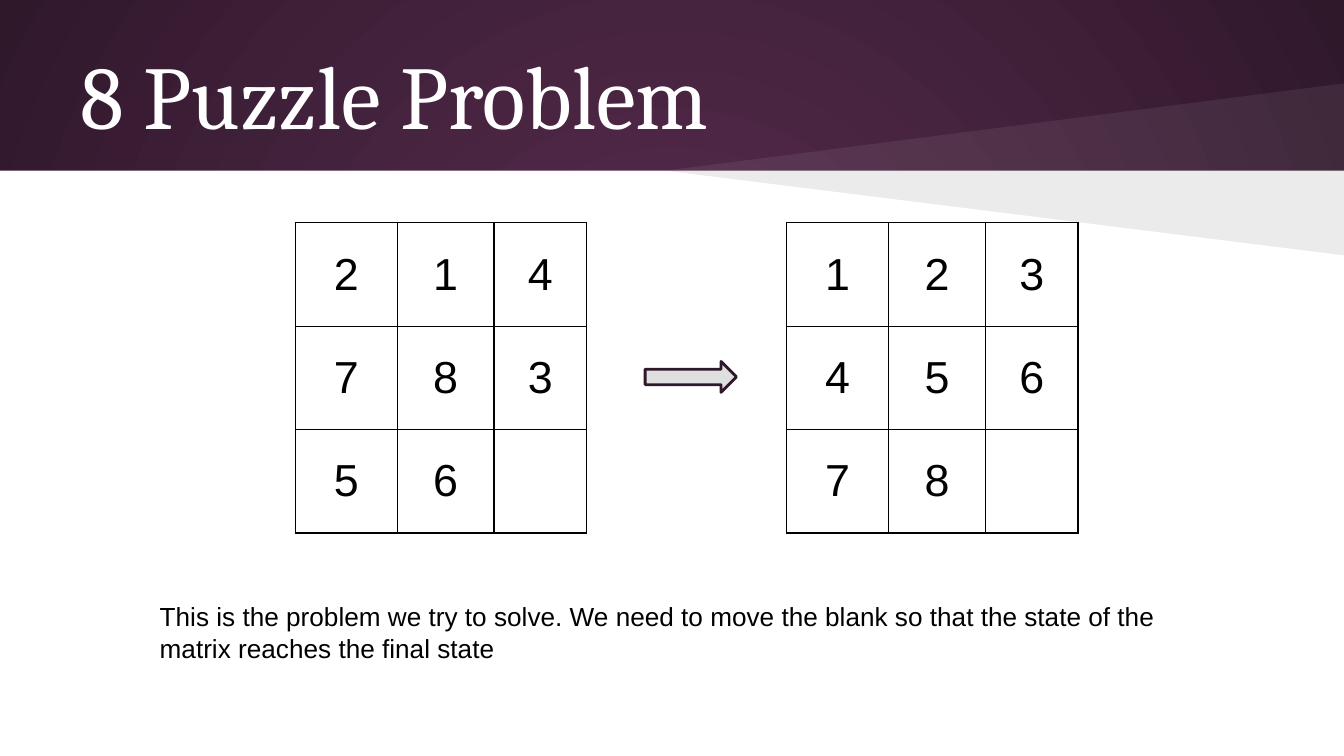
from lxml import etree
from pptx import Presentation
from pptx.dml.color import RGBColor
from pptx.enum.shapes import MSO_SHAPE
from pptx.enum.text import MSO_ANCHOR, PP_ALIGN
from pptx.oxml import parse_xml
from pptx.oxml.ns import qn
from pptx.util import Inches, Pt

RECTANGLE, RIGHT_ARROW = MSO_SHAPE.RECTANGLE, MSO_SHAPE.RIGHT_ARROW
LEFT, CENTER = PP_ALIGN.LEFT, PP_ALIGN.CENTER
TOP, MIDDLE = MSO_ANCHOR.TOP, MSO_ANCHOR.MIDDLE
DRAWING = "http://schemas.openxmlformats.org/drawingml/2006/main"

COLUMNS, ROWS = 100, 56.25
BAND_ROWS = 12.7
TILE_COLUMNS, TILE_ROW = (7.6, 7.2, 6.9), 7.7
BOARD_TOP = 16.57
START_STATE = ("214", "783", "56 ")
FINAL_STATE = ("123", "456", "78 ")
BOARDS = ((21.96, START_STATE), (58.52, FINAL_STATE))


def unit(count):
    return Inches(count / 10)


def color(value):
    return RGBColor.from_string(value)


def write(frame, text, size=14, font="Arial", ink="000000", align=LEFT):
    para = frame.paragraphs[0]
    para.alignment = align
    span = para.add_run()
    span.text = text
    span.font.size = Pt(size)
    span.font.name = font
    span.font.color.rgb = color(ink)


class PuzzleDeck:
    dark, plum, white, black, grey = "30182B", "592D50", "FFFFFF", "000000", "DFDFDF"

    def __init__(self):
        self.deck = Presentation()
        self.deck.slide_width, self.deck.slide_height = unit(COLUMNS), unit(ROWS)
        self.page = self.deck.slides.add_slide(self.deck.slide_layouts[5])
        self.shapes = self.page.shapes

    def backdrop(self):
        fill = self.page.background.fill
        fill.gradient()
        for stop, shade in zip(fill.gradient_stops, (self.plum, self.dark)):
            stop.color.rgb = color(shade)
        gradient = self.page.background._cSld.find(".//" + qn("a:gradFill"))
        gradient.replace(gradient.find(qn("a:lin")), parse_xml(
            f'<a:path xmlns:a="{DRAWING}" path="circle">'
            '<a:fillToRect l="50000" t="50000" r="50000" b="50000"/></a:path>'))

    def paint(self, shape, fill, line=None, width=1.5):
        shape.shadow.inherit = False
        shape.fill.solid()
        shape.fill.fore_color.rgb = color(fill)
        if line:
            shape.line.color.rgb = color(line)
            shape.line.width = Pt(width)
        else:
            shape.line.fill.background()

    def block(self, kind, left, top, width, height, fill, line=None):
        box = self.shapes.add_shape(kind, *map(unit, (left, top, width, height)))
        self.paint(box, fill, line)

    def wedge(self, edge, fill, opacity):
        tip = (unit(49.5), unit(BAND_ROWS))
        outline = self.shapes.build_freeform(*tip)
        right = unit(COLUMNS)
        outline.add_line_segments([(right, unit(edge)), (right, unit(BAND_ROWS))])
        shape = outline.convert_to_shape()
        self.paint(shape, fill)
        shade = shape._element.spPr.find(".//" + qn("a:srgbClr"))
        etree.SubElement(shade, qn("a:alpha"), val=str(opacity * 1000))

    def frame(self, box, anchor):
        frame = box.text_frame
        frame.word_wrap = True
        frame.vertical_anchor = anchor
        frame.margin_left = frame.margin_right = unit(1)
        frame.margin_top = frame.margin_bottom = unit(1)
        return frame

    def title(self, text, left, top, width, height):
        box = self.shapes.title
        box.left, box.top, box.width, box.height = map(unit, (left, top, width, height))
        write(self.frame(box, MIDDLE), text, size=48, font="Cambria", ink=self.white)

    def caption(self, text, left, top, width, height):
        box = self.shapes.add_textbox(*map(unit, (left, top, width, height)))
        write(self.frame(box, TOP), text)

    def border(self, cell):
        properties = cell._tc.get_or_add_tcPr()
        for side in "LRTB":
            properties.append(parse_xml(
                f'<a:ln{side} xmlns:a="{DRAWING}" w="{Pt(0.75)}"><a:solidFill>'
                f'<a:srgbClr val="{self.black}"/></a:solidFill></a:ln{side}>'))

    def board(self, left, state):
        size = len(state)
        table = self.shapes.add_table(
            size, size, unit(left), unit(BOARD_TOP),
            unit(sum(TILE_COLUMNS)), unit(TILE_ROW * size)).table
        table.first_row = table.horz_banding = False
        for column, width in zip(table.columns, TILE_COLUMNS):
            column.width = unit(width)
        for row, digits in zip(table.rows, state):
            row.height = unit(TILE_ROW)
            for cell, digit in zip(row.cells, digits):
                self.border(cell)
                cell.fill.background()
                cell.vertical_anchor = MIDDLE
                cell.margin_left = cell.margin_right = unit(1)
                cell.margin_top = cell.margin_bottom = unit(1)
                if digit.strip():
                    write(cell.text_frame, digit, size=24, align=CENTER)


def main():
    slide = PuzzleDeck()
    slide.backdrop()
    slide.block(RECTANGLE, 0, BAND_ROWS, COLUMNS, ROWS - BAND_ROWS, slide.white)
    slide.wedge(6.2, slide.white, 7)
    slide.wedge(19, slide.black, 8)
    slide.title("8 Puzzle Problem", 5, 2.3, 90, 9.4)
    for left, state in BOARDS:
        slide.board(left, state)
    slide.block(RIGHT_ARROW, 48, 26.9, 6.8, 2.3, slide.grey, slide.dark)
    slide.caption(
        "This is the problem we try to solve. We need to move the blank so that "
        "the state of the matrix reaches the final state", 10.9, 43.7, 78.3, 9.1)
    slide.deck.save("out.pptx")


if __name__ == "__main__":
    main()
